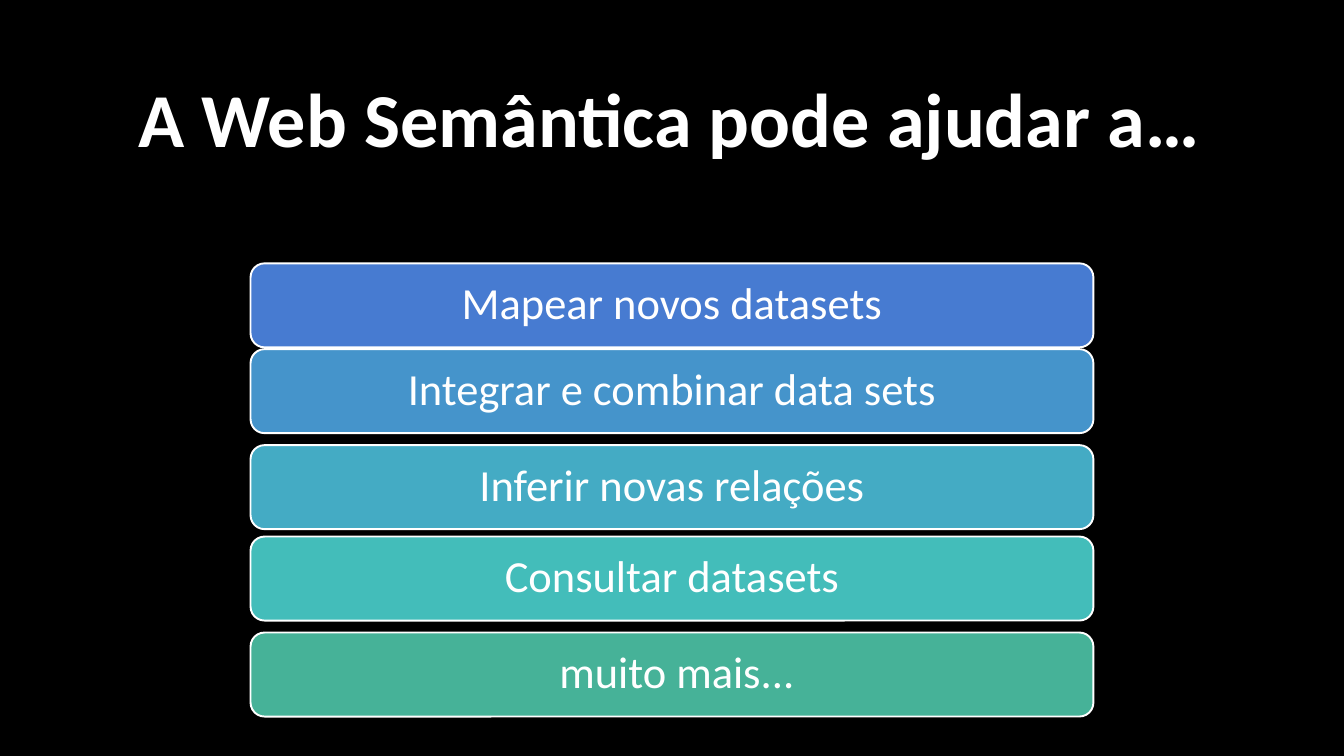
from pptx import Presentation
from pptx.dml.color import RGBColor
from pptx.enum import shapes, text
from pptx.util import Pt

WHITE = "FFFFFF"
BENEFITS = [
    (207.4, "477BD1", "Mapear novos datasets"),
    (275, "4594CB", "Integrar e combinar data sets"),
    (350.6, "44ABC4", "Inferir novas relações"),
    (422.6, "43BDBA", "Consultar datasets"),
    (498.2, "46B298", " muito mais..."),
]


def paint(target, colour):
    """Give a fill a solid colour."""
    target.solid()
    target.fore_color.rgb = RGBColor.from_string(colour)


def write(box, words, size, bold=False):
    """Write one centred white paragraph in the middle of a box."""
    frame = box.text_frame
    frame.word_wrap = True
    frame.vertical_anchor = text.MSO_ANCHOR.MIDDLE
    para = frame.paragraphs[0]
    para.text = words
    para.alignment = text.PP_ALIGN.CENTER
    font = para.font
    font.name, font.size, font.bold = "Calibri", Pt(size), bold
    paint(font.fill, WHITE)
    return para


def add_title(page, words):
    """Add the heading across the page."""
    box = page.shapes.add_textbox(Pt(0), Pt(31), Pt(1054), Pt(122))
    write(box, words, 60, bold=True)


def add_benefit(page, top, colour, words):
    """Add one rounded bar with its label."""
    bar = page.shapes.add_shape(
        shapes.MSO_SHAPE.ROUNDED_RECTANGLE,
        Pt(197.3), Pt(top), Pt(663.8), Pt(66.2))
    bar.shadow.inherit = False
    paint(bar.fill, colour)
    paint(bar.line.fill, WHITE)
    bar.line.width = Pt(1.5)
    write(bar, words, 35).line_spacing = 0.9


def main():
    """Build the slide and save the deck."""
    deck = Presentation()
    deck.slide_width, deck.slide_height = Pt(1058.4), Pt(595.44)
    page = deck.slides.add_slide(deck.slide_layouts[6])
    paint(page.background.fill, "000000")
    add_title(page, "A Web Semântica pode ajudar a…")
    for top, colour, words in BENEFITS:
        add_benefit(page, top, colour, words)
    deck.save("out.pptx")


if __name__ == "__main__":
    main()
